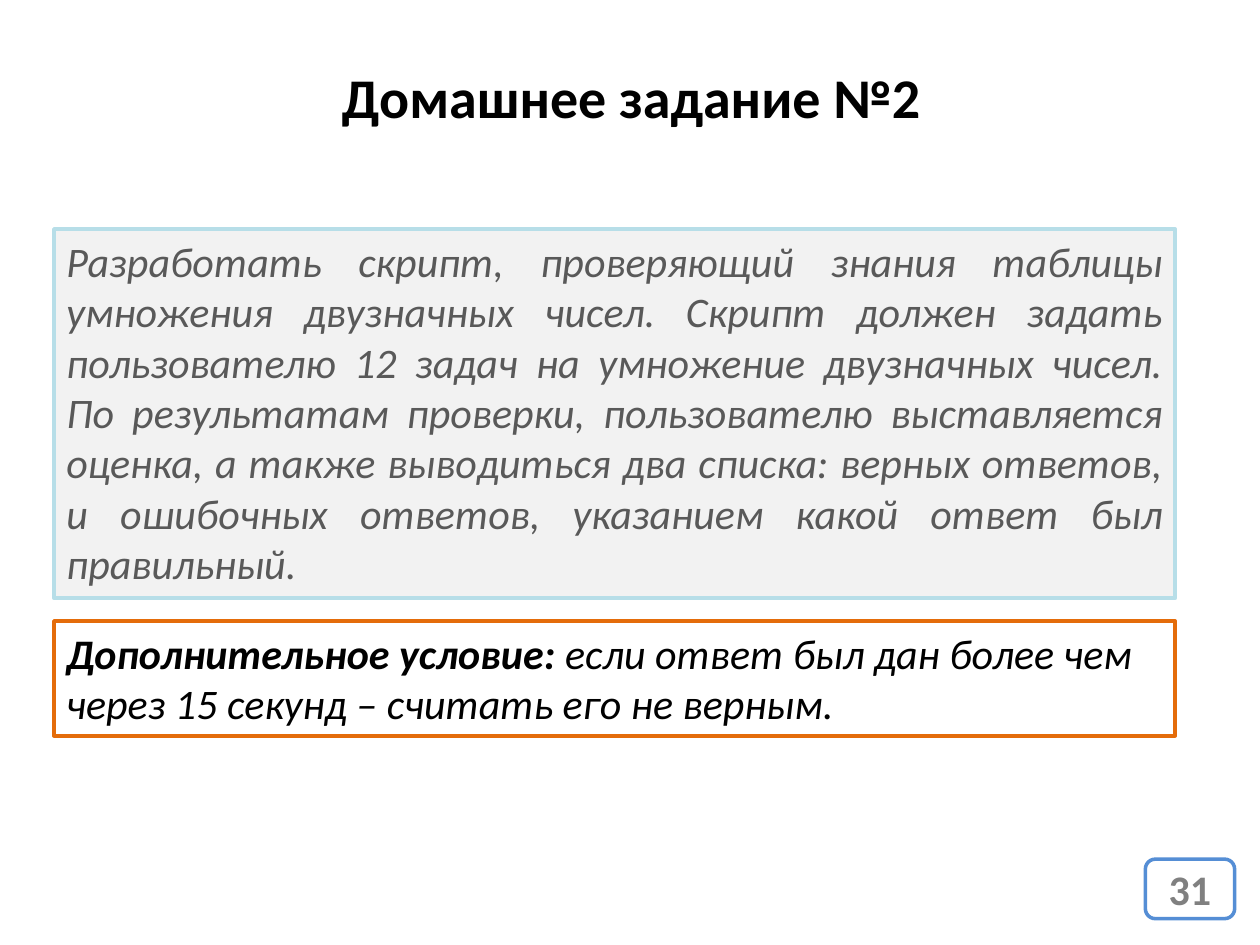
from pptx import Presentation
from pptx import util as u
from pptx.dml import color
from pptx.enum import shapes, text

FONT = "Calibri"


def rgb(value):
    return color.RGBColor.from_string(value)


class SlideBuilder:
    def __init__(self, slide):
        self.slide = slide

    def add_runs(self, frame, runs, size, ink, align, anchor):
        """Fill a text frame with runs given as (wording, bold, italic)."""
        frame.word_wrap = True
        frame.vertical_anchor = anchor
        para = frame.paragraphs[0]
        para.alignment = align
        for wording, bold, italic in runs:
            span = para.add_run()
            span.text = wording
            font = span.font
            font.name, font.size = FONT, u.Pt(size)
            font.bold, font.italic = bold, italic
            font.color.rgb = rgb(ink)

    def title(self, wording, left, top, width, height):
        title = self.slide.shapes.title
        title.left, title.top = u.Cm(left), u.Cm(top)
        title.width, title.height = u.Cm(width), u.Cm(height)
        self.add_runs(title.text_frame, [(wording, True, False)], 32, "000000",
                      text.PP_ALIGN.CENTER, text.MSO_ANCHOR.MIDDLE)

    def panel(self, runs, left, top, width, height, line, fill=None,
              ink="000000", align=text.PP_ALIGN.LEFT,
              anchor=text.MSO_ANCHOR.TOP, weight=2.25,
              kind=shapes.MSO_SHAPE.RECTANGLE):
        box = self.slide.shapes.add_shape(
            kind, u.Cm(left), u.Cm(top), u.Cm(width), u.Cm(height))
        box.shadow.inherit = False
        if fill:
            box.fill.solid()
            box.fill.fore_color.rgb = rgb(fill)
        else:
            box.fill.background()
        box.line.color.rgb = rgb(line)
        box.line.width = u.Pt(weight)
        self.add_runs(box.text_frame, runs, 24, ink, align, anchor)
        return box


def main():
    deck = Presentation()
    deck.slide_width, deck.slide_height = u.Cm(25.4), u.Cm(19.05)
    page = SlideBuilder(deck.slides.add_slide(deck.slide_layouts[5]))

    page.panel([("31", True, False)], 23.09, 17.32, 1.8, 1.2, "558ED5",
               fill="FFFFFF", ink="808080", align=text.PP_ALIGN.CENTER,
               anchor=text.MSO_ANCHOR.MIDDLE, weight=2,
               kind=shapes.MSO_SHAPE.ROUNDED_RECTANGLE)
    page.title("Домашнее задание №2", 1.3, 0.94, 22.86, 1.98)

    left, width = 1.09, 22.6
    task = page.panel(
        [("Разработать скрипт, проверяющий знания таблицы умножения "
          "двузначных чисел. Скрипт должен задать пользователю 12 задач на "
          "умножение двузначных чисел. По результатам проверки, пользователю "
          "выставляется оценка, а также выводиться два списка: верных "
          "ответов, и ошибочных ответов, указанием какой ответ был "
          "правильный.", False, True)],
        left, 4.62, width, 7.44, "B7DEE8", fill="F2F2F2", ink="595959",
        align=text.PP_ALIGN.JUSTIFY)
    extra = page.panel(
        [("Дополнительное условие: ", True, True),
         ("если ответ был дан более чем через 15 секунд – считать его "
          "не верным.", False, True)],
        left, 12.52, width, 2.31, "E46C0A")
    for box in (task, extra):
        box.text_frame.auto_size = text.MSO_AUTO_SIZE.SHAPE_TO_FIT_TEXT

    deck.save("out.pptx")


if __name__ == "__main__":
    main()
